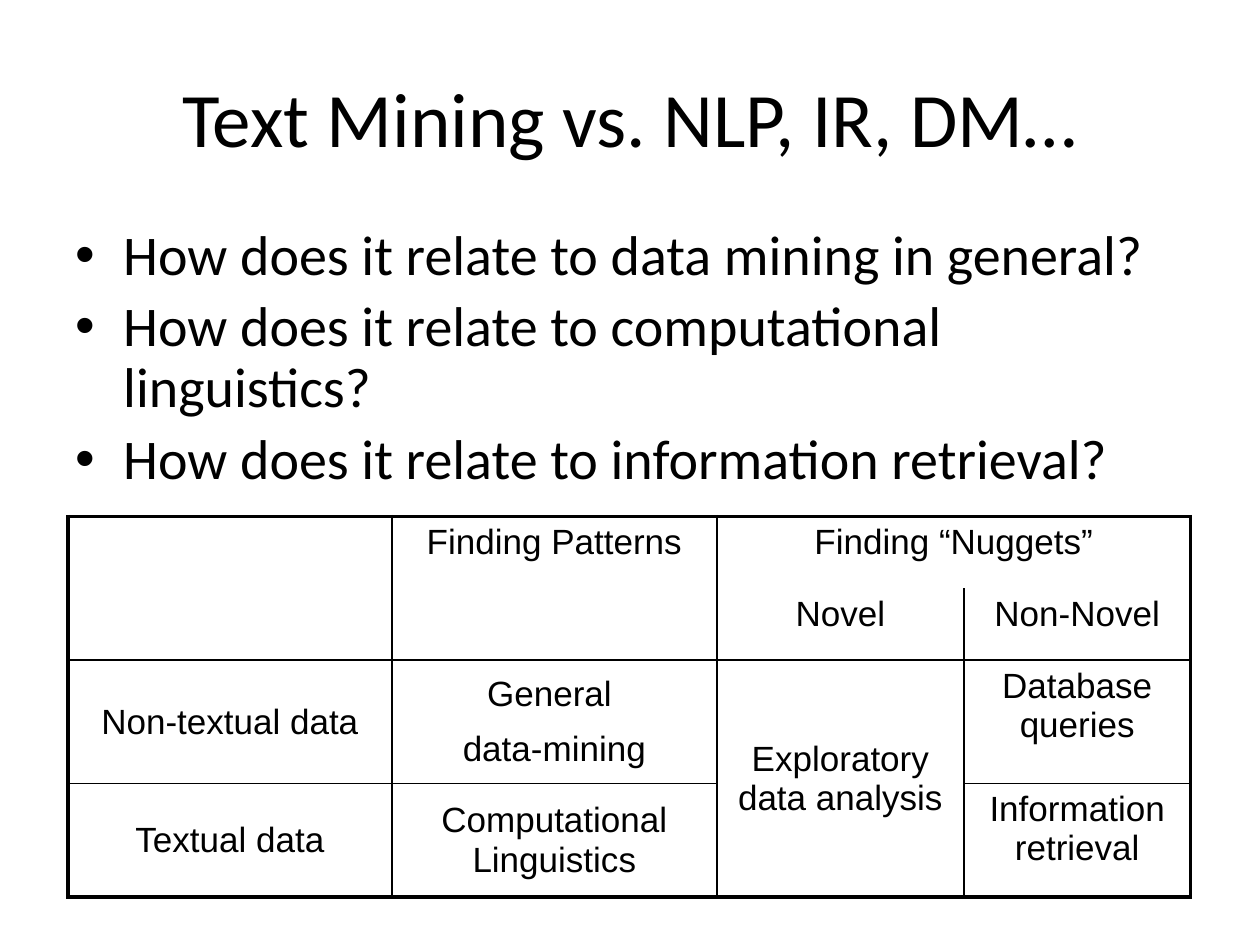
"""Build a slide that sets text mining beside NLP, IR and data mining."""
import pptx
import pptx.dml.color
import pptx.enum.text
import pptx.oxml
import pptx.oxml.ns
import pptx.util
from pptx.util import Inches

COLORS = {"ink": "000000"}
ANCHOR = pptx.enum.text.MSO_ANCHOR
CENTER = pptx.enum.text.PP_ALIGN.CENTER
THICK, THIN = 2.25, 1
HEADER_ROWS = 2

QUESTIONS = [
    "How does it relate to data mining in general?",
    "How does it relate to computational linguistics?",
    "How does it relate to information retrieval?",
]
COLUMN_WIDTHS = [2.57, 2.58, 1.96, 1.8]
ROW_HEIGHTS = [0.57, 0.57, 0.98, 0.9]
CELL_TEXTS = [
    ["", "Finding Patterns", "Finding “Nuggets”", ""],
    ["", "", "Novel", "Non-Novel"],
    ["Non-textual data", "General \ndata-mining", "Exploratory data analysis", "Database queries"],
    ["Textual data", "Computational Linguistics", "", "Information retrieval"],
]


def write_run(paragraph, text, font_name, size):
    run = paragraph.add_run()
    run.text = text
    run.font.name = font_name
    run.font.size = pptx.util.Pt(size)
    run.font.color.rgb = pptx.dml.color.RGBColor.from_string(COLORS["ink"])


def write_paragraphs(text_frame, texts, font_name, size, space_before=0):
    for index, text in enumerate(texts):
        paragraph = text_frame.add_paragraph() if index else text_frame.paragraphs[0]
        paragraph.space_before = pptx.util.Pt(space_before if index else 0)
        write_run(paragraph, text, font_name, size)
    return text_frame.paragraphs


def add_text_frame(slide, left, top, width, height, anchor):
    box = slide.shapes.add_textbox(Inches(left), Inches(top), Inches(width), Inches(height))
    box.text_frame.word_wrap = True
    box.text_frame.vertical_anchor = anchor
    return box.text_frame


def add_title(slide, text):
    text_frame = add_text_frame(slide, 0.5, 0.3, 9, 1.25, ANCHOR.MIDDLE)
    write_paragraphs(text_frame, [text], "Calibri", 44)[0].alignment = CENTER


def add_bullets(slide, texts):
    text_frame = add_text_frame(slide, 0.5, 1.75, 9, 4.95, ANCHOR.TOP)
    for paragraph in write_paragraphs(text_frame, texts, "Calibri", 32, 6.4):
        paragraph.line_spacing = 0.9
        properties = paragraph._p.get_or_add_pPr()
        properties.set("marL", str(Inches(0.38)))
        properties.set("indent", str(-Inches(0.38)))
        for tag, name, value in (("buFont", "typeface", "Arial"), ("buChar", "char", "•")):
            properties.append(pptx.oxml.parse_xml(
                f'<a:{tag} {pptx.oxml.ns.nsdecls("a")} {name}="{value}"/>'))


def set_border(cell, side, width):
    paint = f'<a:solidFill><a:srgbClr val="{COLORS["ink"]}"/></a:solidFill>' if width else "<a:noFill/>"
    cell._tc.get_or_add_tcPr().append(pptx.oxml.parse_xml(
        f'<a:ln{side} {pptx.oxml.ns.nsdecls("a")} w="{pptx.util.Pt(width)}">{paint}</a:ln{side}>'))


def row_line_width(edge):
    if edge in (0, len(ROW_HEIGHTS)):
        return THICK
    return 0 if edge < HEADER_ROWS else THIN


def column_line_width(edge):
    return THICK if edge in (0, len(COLUMN_WIDTHS)) else THIN


def format_cell(cell, row, column, text):
    set_border(cell, "L", column_line_width(column))
    set_border(cell, "R", column_line_width(column + cell.span_width))
    set_border(cell, "T", row_line_width(row))
    set_border(cell, "B", row_line_width(row + cell.span_height))
    cell.fill.background()
    is_label = row >= HEADER_ROWS and column < 3
    cell.vertical_anchor = ANCHOR.MIDDLE if is_label else ANCHOR.TOP
    if text:
        for paragraph in write_paragraphs(cell.text_frame, text.split("\n"), "Arial", 20, 9):
            paragraph.alignment = CENTER


def add_comparison_table(slide):
    frame = slide.shapes.add_table(
        len(ROW_HEIGHTS), len(COLUMN_WIDTHS), Inches(0.54), Inches(4.1),
        Inches(sum(COLUMN_WIDTHS)), Inches(sum(ROW_HEIGHTS)))
    table = frame.table
    table.first_row = table.horz_banding = False
    for column, width in zip(table.columns, COLUMN_WIDTHS):
        column.width = Inches(width)
    for row, height in zip(table.rows, ROW_HEIGHTS):
        row.height = Inches(height)
    table.cell(0, 2).merge(table.cell(0, 3))
    table.cell(2, 2).merge(table.cell(3, 2))
    for row, texts in enumerate(CELL_TEXTS):
        for column, text in enumerate(texts):
            cell = table.cell(row, column)
            if not cell.is_spanned:
                format_cell(cell, row, column, text)


def main():
    presentation = pptx.Presentation()
    presentation.slide_width = Inches(10)
    presentation.slide_height = Inches(7.5)
    slide = presentation.slides.add_slide(presentation.slide_layouts[6])
    add_title(slide, "Text Mining vs. NLP, IR, DM…")
    add_bullets(slide, QUESTIONS)
    add_comparison_table(slide)
    presentation.save("out.pptx")


if __name__ == "__main__":
    main()
